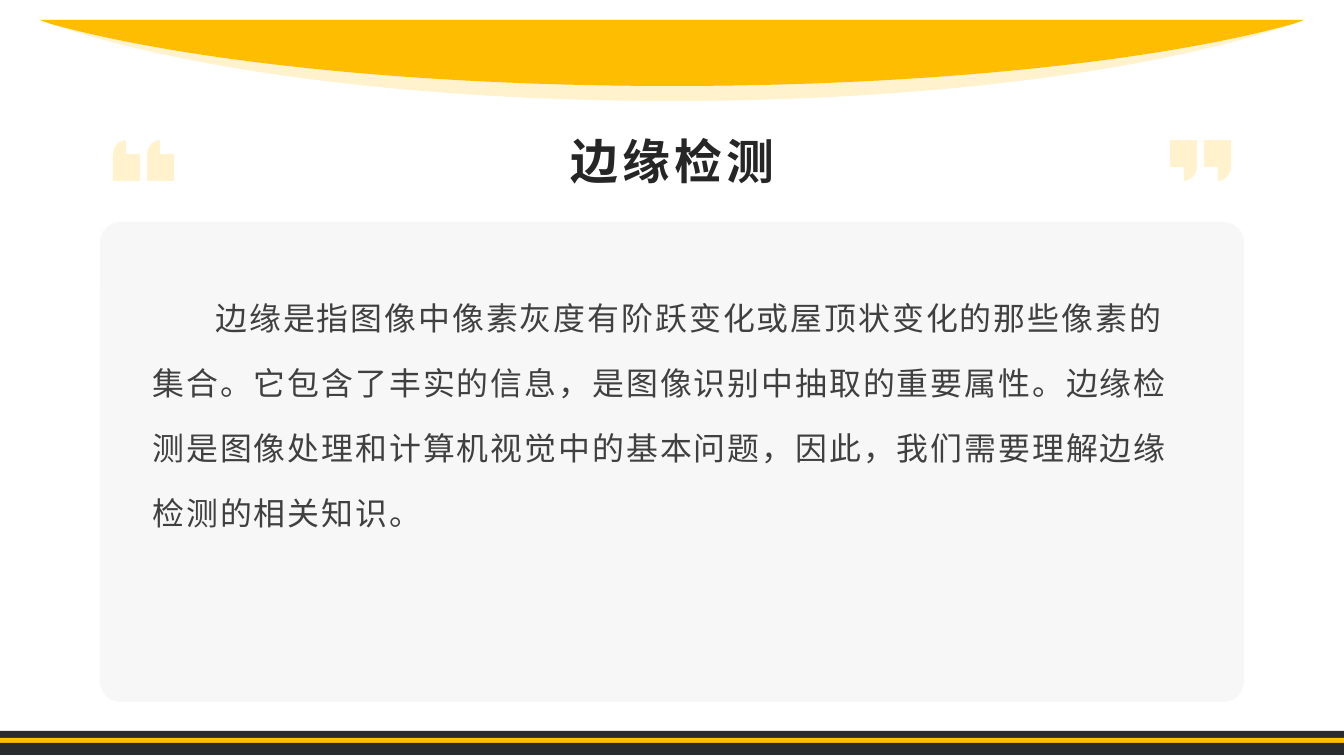
from lxml import etree
from pptx import Presentation
from pptx.dml.color import RGBColor
from pptx.enum.shapes import MSO_SHAPE
from pptx.enum.text import MSO_ANCHOR, MSO_AUTO_SIZE, PP_ALIGN
from pptx.oxml.ns import qn
from pptx.util import Pt

TITLE = "边缘检测"
BODY = ("边缘是指图像中像素灰度有阶跃变化或屋顶状变化的那些像素的集合。"
        "它包含了丰实的信息，是图像识别中抽取的重要属性。"
        "边缘检测是图像处理和计算机视觉中的基本问题，因此，"
        "我们需要理解边缘检测的相关知识。")

DARK, GOLD, CREAM = "2A2B2D", "FFBD00", "FFF2CC"
CJK_FONT = "Noto Sans CJK SC"
WIDTH, HEIGHT = 1344, 756
SCALE = 9565  # EMU per px

# top, height, colour
FOOTER_BARS = [(731, 8, DARK), (738, 8, "FFC000"), (743, 12, DARK)]
CARD = (100, 222, 1144, 480)
TITLE_BOX = (183, 113, 979, 81)
BODY_BOX = (143, 267, 1057, 388)
BODY_INDENT = 63

# shoulder, control and bottom heights, colour
BOWLS = [(24, 70, 101, CREAM), (24, 61, 86, GOLD)]
BOWL_TOP, BOWL_RIGHT = 20, 1304
BOWL_CURVE_X = (1293, 1159, 931, 672)
BOWL_CURVES = (2, 5)

MARK_LEFT, MARK_TOP, MARK_BOTTOM, MARK_STEP = 1170, 140, 181, 34
MARK_CURVES = (3,)


def px(*lengths):
    return [round(length * SCALE) for length in lengths]


def rgb(hex_colour):
    return RGBColor.from_string(hex_colour)


def paint(shape, colour):
    shape.shadow.inherit = False
    shape.fill.solid()
    shape.fill.fore_color.rgb = rgb(colour)
    shape.line.fill.background()


def add_block(shapes, preset, box, colour):
    block = shapes.add_shape(preset, *px(*box))
    paint(block, colour)
    return block


def add_outline(shapes, points, curves, colour):
    """Draw the points; each index in curves starts three points of a cubic curve."""
    start, *rest = [px(*point) for point in points]
    builder = shapes.build_freeform(*start)
    builder.add_line_segments(rest, close=True)
    outline = builder.convert_to_shape()
    paint(outline, colour)
    segments = list(outline._element.iter(qn("a:lnTo")))
    for first in curves:
        controls = segments[first - 1:first + 2]
        curve = etree.Element(qn("a:cubicBezTo"))
        controls[0].addprevious(curve)
        for control in controls:
            curve.append(control[0])
            control.getparent().remove(control)


def bowl_points(shoulder, control, bottom):
    heights = (shoulder, control, bottom, bottom)
    right = [(BOWL_RIGHT, BOWL_TOP), *zip(BOWL_CURVE_X, heights)]
    left = [(WIDTH - x, y) for x, y in reversed(right[:-1])]
    return right + left


def quote_points(left):
    right, inner = left + 27, left + 14
    return [(left, MARK_TOP), (right, MARK_TOP), (right, 165), (right, 179),
            (inner + 2, MARK_BOTTOM), (inner, MARK_BOTTOM), (inner, 167), (left, 167)]


def half_turn(points):
    """Turn a closing quote into the opening one on the other side."""
    return [(WIDTH - x, MARK_TOP + MARK_BOTTOM - y) for x, y in points]


def add_run(paragraph, text, size, colour, latin, spacing, bold=False):
    run = paragraph.add_run()
    run.text = text
    font = run.font
    font.size, font.bold, font.name = Pt(size), bold, latin
    font.color.rgb = rgb(colour)
    properties = font._element
    properties.set("spc", str(spacing))
    east_asian = etree.Element(qn("a:ea"), typeface=CJK_FONT)
    properties.find(qn("a:latin")).addnext(east_asian)


def add_title(slide):
    title = slide.shapes.title
    title.left, title.top, title.width, title.height = px(*TITLE_BOX)
    frame = title.text_frame
    frame.auto_size = MSO_AUTO_SIZE.NONE
    frame.vertical_anchor = MSO_ANCHOR.BOTTOM
    heading = frame.paragraphs[0]
    heading.alignment = PP_ALIGN.CENTER
    heading.line_spacing = 1.2
    add_run(heading, TITLE, 36, "262626", CJK_FONT, 300, bold=True)


def add_body(slide):
    frame = slide.shapes.add_textbox(*px(*BODY_BOX)).text_frame
    frame.word_wrap = True
    definition = frame.paragraphs[0]
    definition.line_spacing = Pt(49)
    definition._p.get_or_add_pPr().set("indent", str(px(BODY_INDENT)[0]))
    add_run(definition, BODY, 24, "404040", "Arial", 150)


def main():
    deck = Presentation()
    deck.slide_width, deck.slide_height = px(WIDTH, HEIGHT)
    slide = deck.slides.add_slide(deck.slide_layouts[5])
    shapes = slide.shapes

    for top, height, colour in FOOTER_BARS:
        add_block(shapes, MSO_SHAPE.RECTANGLE, (0, top, WIDTH, height), colour)

    card = add_block(shapes, MSO_SHAPE.ROUNDED_RECTANGLE, CARD, "F2F2F2")
    card.adjustments[0] = 0.042
    card_colour = card._element.spPr.find(qn("a:solidFill"))[0]
    etree.SubElement(card_colour, qn("a:alpha"), val="60000")

    for *heights, colour in BOWLS:
        add_outline(shapes, bowl_points(*heights), BOWL_CURVES, colour)

    closing = [quote_points(MARK_LEFT + i * MARK_STEP) for i in range(2)]
    opening = [half_turn(points) for points in closing]
    for marks in (closing, opening):
        group = shapes.add_group_shape()
        for points in marks:
            add_outline(group.shapes, points, MARK_CURVES, CREAM)

    add_title(slide)
    add_body(slide)
    deck.save("out.pptx")


if __name__ == "__main__":
    main()
